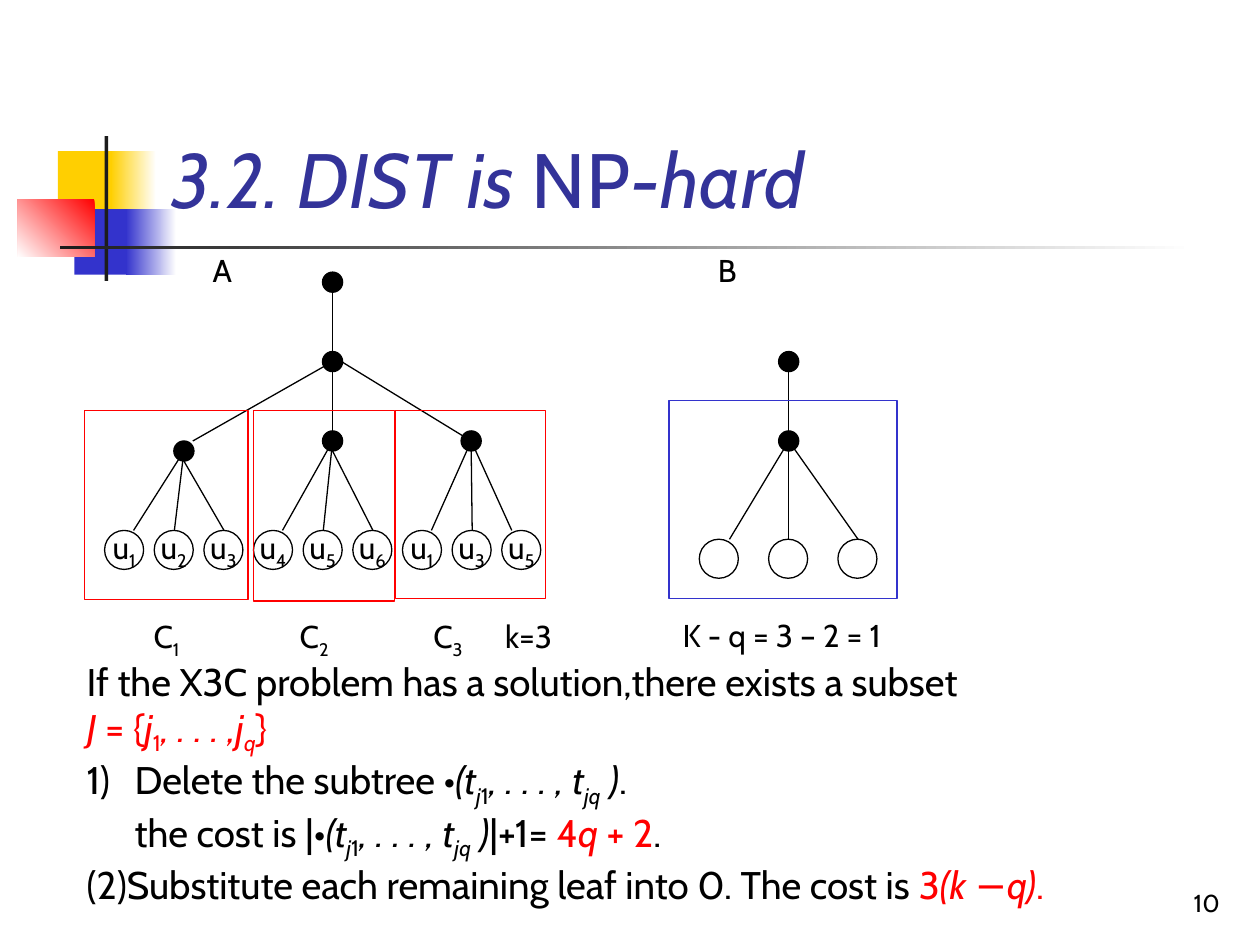
from lxml import etree
from pptx import Presentation
from pptx import util as u
from pptx.dml.color import RGBColor
from pptx.enum import shapes as sh, text as tx
from pptx.oxml import ns

HUE = dict(ink="000000", paper="FFFFFF", red="FF0000", blue="3333CC",
           gold="FFCF01", coal="1C1C1C", title="333399")
CELL = 0.1
DOT = 1.6
LEAF = 3.1
FONT = "Cabin"


def rgb(name):
    return RGBColor.from_string(HUE[name])


def put(obj, vals):
    for key, val in vals.items():
        setattr(obj, key, val)


def cell(n):
    return u.Inches(round(n * CELL, 3))


def spot(box, *area):
    x, y, *size = area
    return [cell(n) for n in (box[0] + x, box[1] + y, *size)]


def sub(node, tag, **vals):
    return etree.SubElement(node, ns.qn(tag), **vals)


def shape(slide, box, area, kind="RECTANGLE", fill=None, line=None):
    item = slide.shapes.add_shape(getattr(sh.MSO_SHAPE, kind), *spot(box, *area))
    item.shadow.inherit = False
    if fill:
        item.fill.solid()
        item.fill.fore_color.rgb = rgb(fill)
    else:
        item.fill.background()
    if line:
        item.line.color.rgb = rgb(line)
        item.line.width = u.Pt(0.75)
    else:
        item.line.fill.background()
    return item


def fade(slide, box, area, start, end, angle=180):
    item = shape(slide, box, area)
    item.fill.gradient()
    item.fill.gradient_angle = angle
    for stop, name in zip(item.fill.gradient_stops, (start, end)):
        stop.color.rgb = rgb(name)


def edge(slide, box, start, end):
    item = slide.shapes.add_connector(
        sh.MSO_CONNECTOR.STRAIGHT, *spot(box, *start), *spot(box, *end))
    item.line.color.rgb = rgb("ink")
    item.line.width = u.Pt(0.75)
    sub(item._element.spPr, "a:effectLst")


def dot(slide, box, x, y):
    area = (x - DOT / 2, y - DOT / 2, DOT, DOT)
    shape(slide, box, area, "OVAL", "ink", "ink")


def write(para, runs, size, hue="ink"):
    for words, style in runs:
        run = para.add_run()
        run.text = words
        put(run.font, dict(name=FONT, size=u.Pt(size), italic="i" in style))
        run.font.color.rgb = rgb("red" if "r" in style else hue)
        if "s" in style:
            run._r.get_or_add_rPr().set("baseline", "-25000")


def label(slide, box, area, runs, size=18, hue="ink", wrap=False, **form):
    frame = slide.shapes.add_textbox(*spot(box, *area)).text_frame
    frame.word_wrap = wrap
    put(frame, form)
    para = frame.paragraphs[0]
    write(para, runs, size, hue)
    return para


def tree(slide, box, tip, first, pitch, row, drops, shifts, names=()):
    x, y = tip
    dot(slide, box, x, y)
    for i, (drop, shift) in enumerate(zip(drops, shifts)):
        left = first + i * pitch
        leaf = shape(slide, box, (left, row, LEAF, LEAF), "OVAL", "paper", "ink")
        if names:
            frame = leaf.text_frame
            put(frame, dict(word_wrap=False, vertical_anchor=tx.MSO_ANCHOR.MIDDLE))
            para = frame.paragraphs[0]
            para.alignment = tx.PP_ALIGN.CENTER
            write(para, [("u", ""), (names[i], "s")], 18)
        edge(slide, box, (x, y + drop), (left + shift, row))


def motif(slide, box):
    shape(slide, box, (3.2, 1.2, 4.8, 5.2), fill="gold")
    fade(slide, box, (7.4, 1.2, 3.6, 5.2), "paper", "gold")
    shape(slide, box, (4.5, 5.8, 4.6, 5.2), fill="blue")
    fade(slide, box, (8.6, 5.8, 4, 5.2), "paper", "blue")
    fade(slide, box, (0, 5, 6.1, 4.6), "red", "paper", 225)
    shape(slide, box, (6.9, 0, 0.3, 11.5), fill="coal")
    fade(slide, box, (3.4, 8.7, 90, 0.3), "paper", "coal")


def left_tree(slide, box):
    for y in (3, 9.3):
        dot(slide, box, 19.7, y)
    for start, end in (((19.7, 3), (19.7, 15.6)), ((19.7, 9.3), (8.6, 15.6)),
                       ((20.4, 9.3), (30.7, 15.6))):
        edge(slide, box, start, end)
    pitch = 3.94
    near, far = (0, 0, 0.8), (0, 0.8, 0)
    parts = (((7.9, 16.4), near, (2.3, 1.6, 1.6), "123"),
             ((19.7, 15.6), near, (2.3, 1.6, 1.6), "456"),
             ((30.7, 15.6), far, (2.3, 1.6, 0.8), "135"))
    for i, (tip, drops, shifts, names) in enumerate(parts):
        tree(slide, box, tip, 1.6 + 3 * i * pitch, pitch, 22.7, drops, shifts, names)
    for x, wide, high in ((0, 13, 15), (13.4, 11.2, 15.1), (24.7, 11.9, 14.9)):
        shape(slide, box, (x, 13.2, wide, high), line="red")
    para = label(slide, box, (4.5, 29.1, 34.9, 4.4), [
        ("C", ""), ("1", "s"), ("\tC", ""), ("2", "s"), ("\tC", ""), ("3", "s")],
        wrap=True)
    stops = sub(para._p.get_or_add_pPr(), "a:tabLst")
    for col in (11.6, 22.2):
        sub(stops, "a:tab", pos=str(cell(col)), algn="l")
    label(slide, box, (32.4, 29.1, 6.2, 4), [("k=3", "")])
    label(slide, box, (9.2, 0, 3.6, 4), [("A", "")])


def right_tree(slide, box):
    dot(slide, box, 9.5, 9.3)
    edge(slide, box, (9.5, 10.1), (9.5, 14.8))
    tree(slide, box, (9.5, 15.6), 2.4, 5.5, 23.4, (0, 0.8, 0), (2.4, 1.6, 1.6))
    shape(slide, box, (0, 12.4, 18.1, 15.7), line="blue")
    label(slide, box, (2.9, 0, 3.6, 4), [("B", "")])
    label(slide, box, (0.1, 29, 19.5, 4), [("K - q = 3 – 2 = 1", "")])


def proof(slide, box):
    span = [("(t", "i"), ("j", "is"), ("1", "s"), (", . . . , t", "i"),
            ("jq", "is"), (" )", "i")]
    lines = (
        (0, 0, [("If the X3C problem has a solution,there exists a subset", "")]),
        (0, 0, [("J ", "ir"), ("= {", "r"), ("j", "ir"), ("1", "rs"),
                (", . . . ,j", "ir"), ("q", "irs"), ("}", "r")]),
        (3.8, -3.8, [("Delete the subtree •", ""), *span, (".", "")]),
        (3.8, 0, [("the cost is |•", ""), *span, ("|+1= ", ""), ("4", "r"),
                  ("q ", "ir"), ("+ 2", "r"), (".", "")]),
        (0, 0, [("(2)Substitute each remaining leaf into 0. The cost is ", ""),
                ("3", "r"), ("(k ", "ir"), ("−", "r"), ("q)", "ir"), (".", "r")]))
    frame = slide.shapes.add_textbox(*spot((0, 0), *box)).text_frame
    frame.word_wrap = True
    for i, (left, hang, runs) in enumerate(lines):
        para = frame.add_paragraph() if i else frame.paragraphs[0]
        props = para._p.get_or_add_pPr()
        props.set("marL", str(cell(left)))
        props.set("indent", str(cell(hang)))
        if hang:
            tint = sub(props, "a:buClr")
            sub(tint, "a:srgbClr", val=HUE["ink"])
            sub(props, "a:buFont", typeface=FONT)
            sub(props, "a:buAutoNum", type="arabicParenR")
        write(para, runs, 22)


def main():
    deck = Presentation()
    put(deck, dict(slide_width=cell(100), slide_height=cell(75)))
    slide = deck.slides.add_slide(deck.slide_layouts[6])
    low = dict(wrap=True, vertical_anchor=tx.MSO_ANCHOR.BOTTOM)
    motif(slide, (1.4, 10.8))
    label(slide, (0, 0), (12.6, 2.3, 85.2, 16),
          [("3.2. DIST is ", "i"), ("NP", ""), ("-hard", "i")], 44, "title", **low)
    proof(slide, (5.9, 51.7, 89, 20.9))
    left_tree(slide, (6.7, 19.4))
    right_tree(slide, (53.1, 19.4))
    page = label(slide, (0, 0), (77, 68.3, 20.8, 5), [("10", "")], 14, **low)
    page.alignment = tx.PP_ALIGN.RIGHT
    deck.save("out.pptx")


if __name__ == "__main__":
    main()
